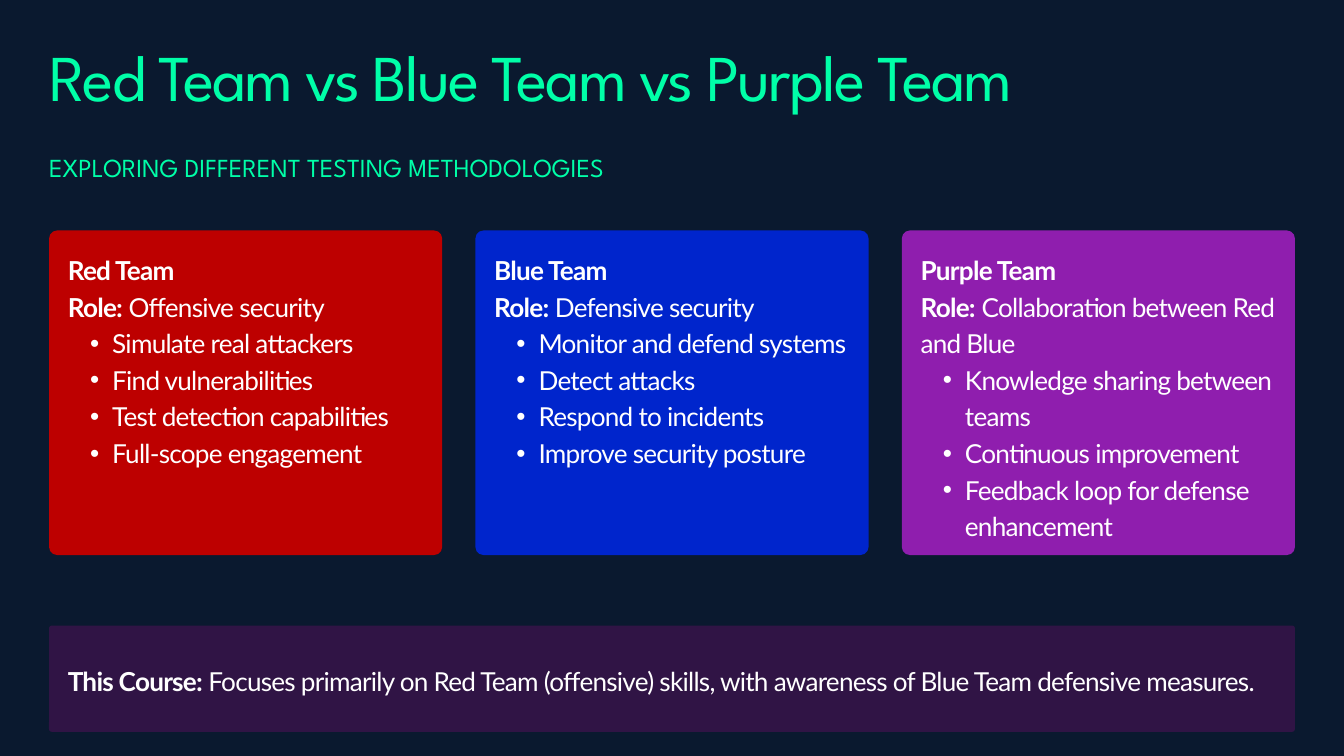
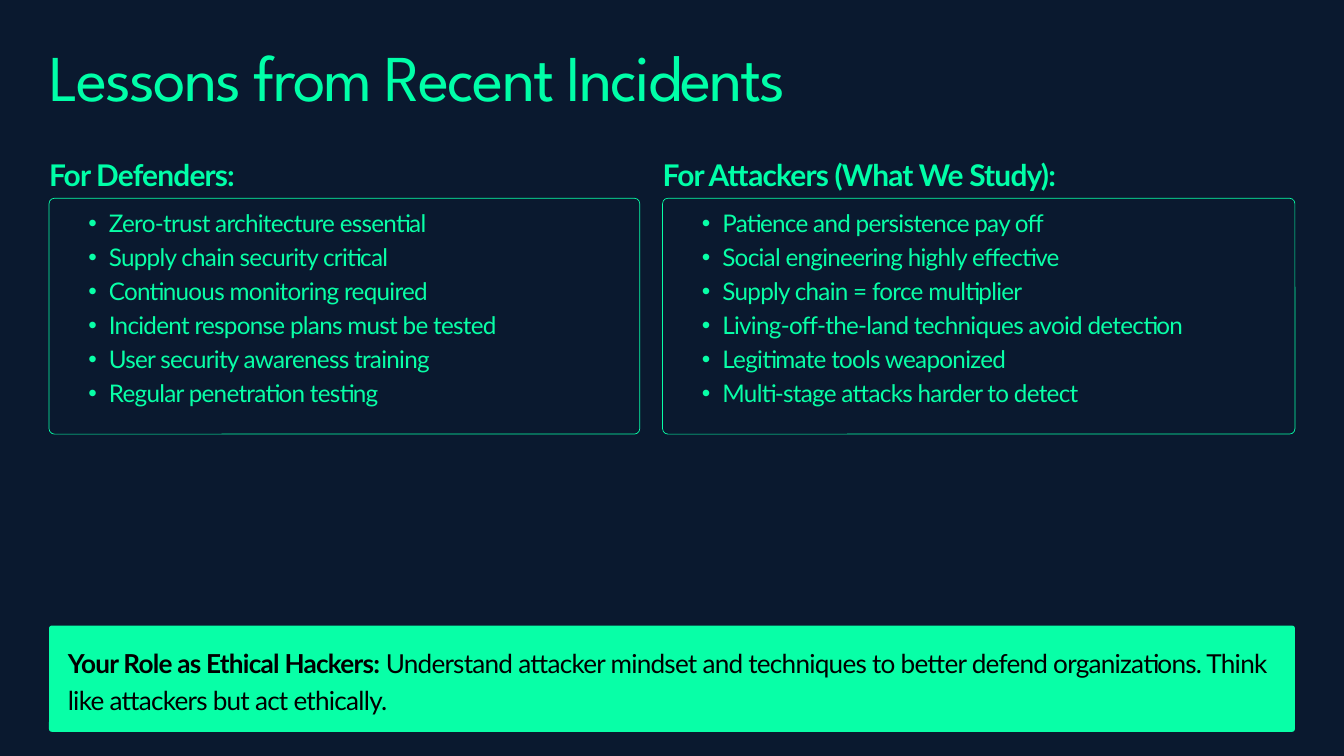
from pptx import Presentation
from pptx.dml.color import RGBColor
from pptx.enum.shapes import MSO_SHAPE as SHAPE
from pptx.enum.text import MSO_ANCHOR as ANCHOR, MSO_AUTO_SIZE as FIT
from pptx.oxml import parse_xml
from pptx.oxml.ns import nsdecls
from pptx.util import Inches, Pt

NAVY = RGBColor(0x0A, 0x19, 0x2F)
MINT = RGBColor(0x00, 0xFF, 0xA8)
GREEN = RGBColor(0x08, 0xFF, 0xA7)
RED = RGBColor(0xBD, 0x00, 0x00)
BLUE = RGBColor(0x00, 0x25, 0xCC)
PURPLE = RGBColor(0x8F, 0x1E, 0xAE)
PLUM = RGBColor(0x30, 0x14, 0x45)
WHITE = RGBColor(0xFF, 0xFF, 0xFF)
BLACK = RGBColor(0x00, 0x00, 0x00)

HEAD = "League Spartan"
BODY = "Lato"
LEFT, WIDTH = 0.73, 18.54
PAD = 0.28
LEAD = 1.4

TEAMS = [
    (RED, "Red Team", ("Role: ", "Offensive security"),
     ["Simulate real attackers", "Find vulnerabilities",
      "Test detection capabilities", "Full-scope engagement"]),
    (BLUE, "Blue Team", ("Role: ", "Defensive security"),
     ["Monitor and defend systems", "Detect attacks",
      "Respond to incidents", "Improve security posture"]),
    (PURPLE, "Purple Team", ("Role:", " Collaboration between Red and Blue"),
     ["Knowledge sharing between teams", "Continuous improvement",
      "Feedback loop for defense enhancement"]),
]
LESSONS = [
    (LEFT, 8.79, "For Defenders:",
     ["Zero-trust architecture essential", "Supply chain security critical",
      "Continuous monitoring required",
      "Incident response plans must be tested",
      "User security awareness training", "Regular penetration testing"]),
    (9.86, 9.41, "For Attackers (What We Study):",
     ["Patience and persistence pay off",
      "Social engineering highly effective",
      "Supply chain = force multiplier",
      "Living-off-the-land techniques avoid detection",
      "Legitimate tools weaponized", "Multi-stage attacks harder to detect"]),
]


def add_box(slide, box, pad=0):
    """Add an empty wrapping text box and return its frame."""
    frame = slide.shapes.add_textbox(*map(Inches, box)).text_frame
    frame.word_wrap = True
    frame.auto_size = FIT.NONE if pad else FIT.SHAPE_TO_FIT_TEXT
    frame.margin_left = frame.margin_right = Inches(pad)
    frame.margin_top = frame.margin_bottom = Inches(pad)
    return frame


def add_line(frame, runs, size, color, lead, font=BODY, space=-0.8, dot=0):
    """Add a paragraph of (text, bold) runs; dot is the bullet's hang."""
    first = frame.paragraphs[0]
    para = frame.add_paragraph() if first.runs else first
    if dot:
        para.level = 1
        props = para._p.get_or_add_pPr()
        props.set("marL", str(Inches(2 * dot)))
        props.set("indent", str(-Inches(dot)))
        props.append(parse_xml(f'<a:buFont {nsdecls("a")} typeface="Arial"/>'))
        props.append(parse_xml(f'<a:buChar {nsdecls("a")} char="•"/>'))
    para.line_spacing = Pt(lead)
    for text, bold in runs:
        run = para.add_run()
        run.text = text
        run.font.name = font
        run.font.size = Pt(size)
        run.font.bold = bold
        run.font.color.rgb = color
        if space:
            run.font._element.set("spc", str(round(space * 100)))


def add_list(frame, items, size, color, dot):
    for item in items:
        add_line(frame, [(item, False)], size, color, size * LEAD, dot=dot)


def add_plate(slide, box, curve, fill=None, line=None):
    """Add a rounded plate whose corner radius is curve inches."""
    plate = slide.shapes.add_shape(SHAPE.ROUNDED_RECTANGLE, *map(Inches, box))
    plate.adjustments[0] = curve / min(box[2:])
    plate.shadow.inherit = False
    if fill is None:
        plate.fill.background()
    else:
        plate.fill.solid()
        plate.fill.fore_color.rgb = fill
    if line is None:
        plate.line.fill.background()
    else:
        plate.line.color.rgb = line
        plate.line.width = Pt(0.75)


def add_page(deck, title):
    slide = deck.slides.add_slide(deck.slide_layouts[6])
    slide.background.fill.solid()
    slide.background.fill.fore_color.rgb = NAVY
    frame = add_box(slide, (LEFT, 0.73, WIDTH, 1.16))
    add_line(frame, [(title, False)], 70, MINT, 70, HEAD, -2.1)
    return slide


def add_band(slide, label, text, fill, color):
    box = (LEFT, 9.31, WIDTH, 1.58)
    add_plate(slide, box, 0.04, fill)
    frame = add_box(slide, box, PAD)
    frame.vertical_anchor = ANCHOR.MIDDLE
    add_line(frame, [(label, True), (text, False)], 28, color, 28 * LEAD)


def add_card(slide, box, fill, name, role, items):
    add_plate(slide, box, 0.12, fill)
    frame = add_box(slide, box, PAD)
    add_line(frame, [(name, True)], 28, WHITE, 28 * LEAD)
    add_line(frame, zip(role, (True, False)), 28, WHITE, 28 * LEAD)
    add_list(frame, items, 28, WHITE, 0.33)


def add_panel(slide, box, head, items):
    left, top, width, height = box
    add_plate(slide, (left, top + 0.97, width, height - 0.97), 0.08, line=GREEN)
    frame = add_box(slide, (left, top + 0.77, width, height - 0.77), PAD)
    add_list(frame, items, 26, GREEN, 0.305)
    frame = add_box(slide, (left, top, 8, 0.79))
    add_line(frame, [(head, True)], 32, MINT, 64, space=-0.9)


def build_teams(deck):
    slide = add_page(deck, "Red Team vs Blue Team vs Purple Team")
    wide = 5.85
    step = (WIDTH - wide) / (len(TEAMS) - 1)
    for i, team in enumerate(TEAMS):
        add_card(slide, (LEFT + i * step, 3.43, wide, 4.83), *team)
    add_band(slide, "This Course: ",
             "Focuses primarily on Red Team (offensive) skills, "
             "with awareness of Blue Team defensive measures.", PLUM, WHITE)
    frame = add_box(slide, (LEFT, 2.25, 13.31, 0.52))
    add_line(frame, [("EXPLORING DIFFERENT TESTING METHODOLOGIES", False)],
             27.9, MINT, 33.5, HEAD, 0)


def build_lessons(deck):
    slide = add_page(deck, "Lessons from Recent Incidents")
    for left, width, head, items in LESSONS:
        add_panel(slide, (left, 1.98, width, 4.48), head, items)
    add_band(slide, "Your Role as Ethical Hackers:",
             " Understand attacker mindset and techniques to better defend "
             "organizations. Think like attackers but act ethically.",
             GREEN, BLACK)


def main():
    deck = Presentation()
    deck.slide_width, deck.slide_height = Inches(20), Inches(11.25)
    build_teams(deck)
    build_lessons(deck)
    deck.save("out.pptx")


if __name__ == "__main__":
    main()
